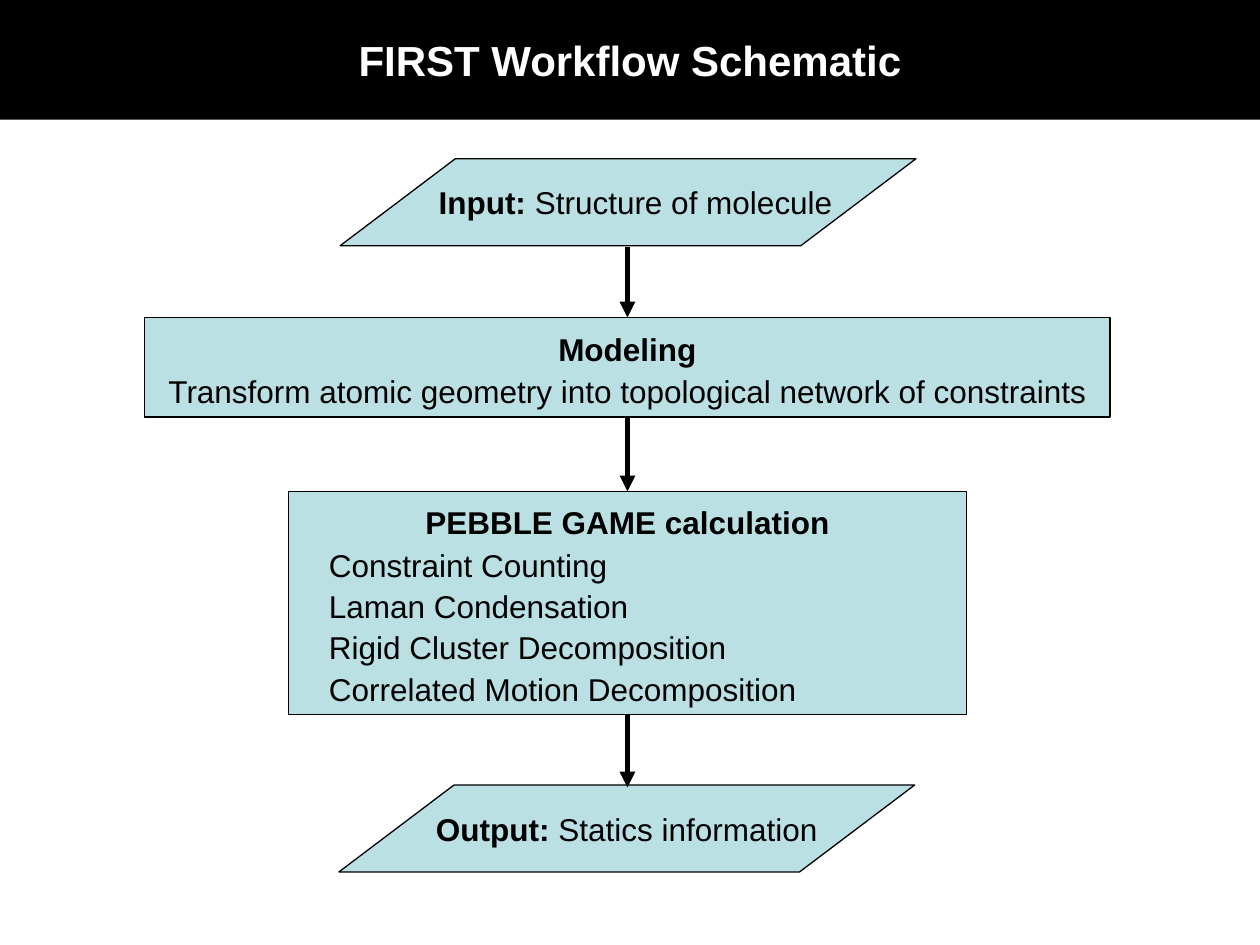
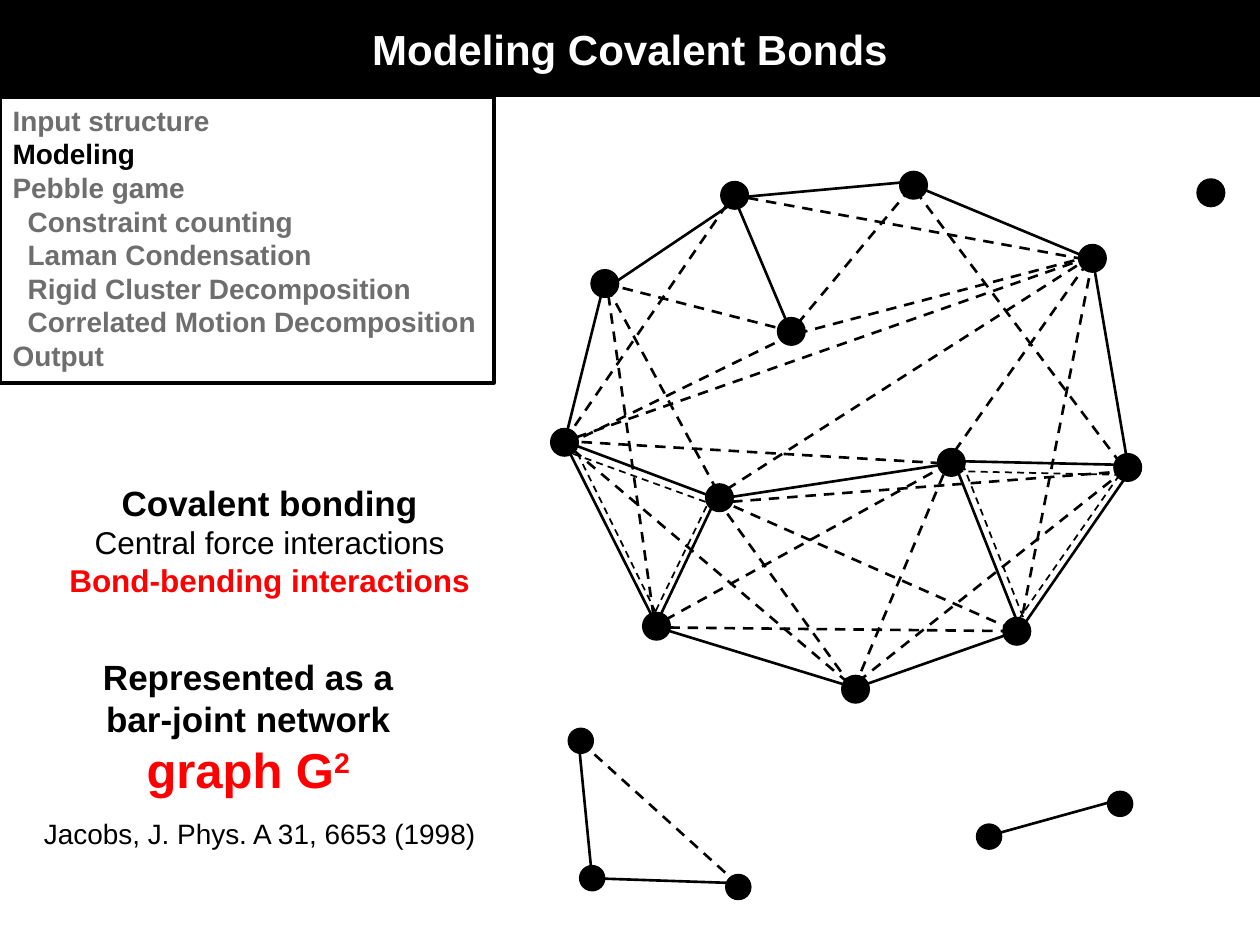
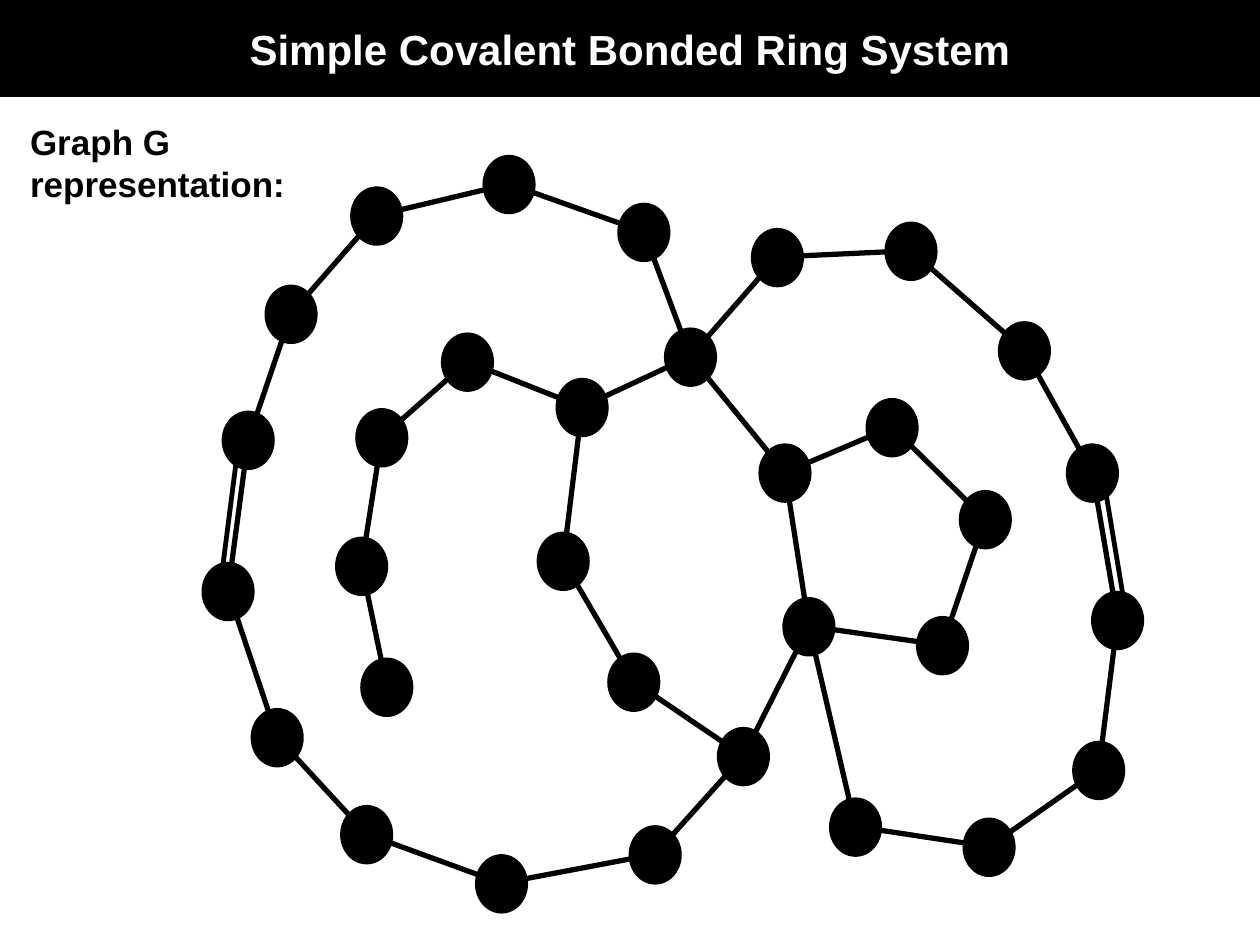
from dataclasses import dataclass
from typing import Optional

import pptx
import pptx.dml.color
import pptx.enum.dml
import pptx.enum.shapes
import pptx.enum.text
import pptx.oxml.ns
import pptx.oxml.xmlchemy
import pptx.shapes.autoshape
import pptx.slide
import pptx.text.text
import pptx.util
from lxml import etree

EMU_PER_PX = 9144  # 100 px to the inch
SLIDE_W, SLIDE_H = 1000, 750
FONT = "Arial"

RGBColor = pptx.dml.color.RGBColor
BLACK = RGBColor(0x00, 0x00, 0x00)
WHITE = RGBColor(0xFF, 0xFF, 0xFF)
PALE_TEAL = RGBColor(0xBB, 0xE0, 0xE3)
GREY = RGBColor(0x6E, 0x6E, 0x6E)
RED = RGBColor(0xFF, 0x00, 0x00)

Shapes = pptx.enum.shapes.MSO_SHAPE
Align = pptx.enum.text.PP_ALIGN
Anchor = pptx.enum.text.MSO_ANCHOR
Pt = pptx.util.Pt
qn = pptx.oxml.ns.qn

TITLE_AND_CONTENT, TITLE_ONLY = 1, 5
TOP, BOTTOM = 0, 2

Point = tuple[int, int]


@dataclass(frozen=True)
class Box:
    left: int
    top: int
    width: int
    height: int


@dataclass(frozen=True)
class Span:
    text: str
    size: float = 18
    bold: bool = False
    color: RGBColor = BLACK
    superscript: bool = False


@dataclass(frozen=True)
class Line:
    spans: tuple[Span, ...]
    align: Align = Align.CENTER
    before: float = 0
    indent: int = 0


@dataclass(frozen=True)
class Step:
    """A flowchart step; a step without wrapping centres its text."""
    kind: Shapes
    box: Box
    lines: tuple[Line, ...]
    wrap: bool = True
    inset: tuple[int, int, int] = (0, 0, 0)  # left, top, right


@dataclass(frozen=True)
class Bond:
    points: tuple[Point, ...]
    width: float = 1.5
    dashed: bool = False
    closed: bool = False


def px(length: int) -> int:
    return pptx.util.Emu(length * EMU_PER_PX)


def place(shape: pptx.shapes.autoshape.Shape, box: Box) -> None:
    shape.left, shape.top = px(box.left), px(box.top)
    shape.width, shape.height = px(box.width), px(box.height)


def write(frame: pptx.text.text.TextFrame, lines: tuple[Line, ...]) -> None:
    for number, line in enumerate(lines):
        paragraph = frame.add_paragraph() if number else frame.paragraphs[0]
        properties = paragraph._p.get_or_add_pPr()
        properties.set("marL", str(px(line.indent)))
        properties.set("indent", "0")
        etree.SubElement(properties, qn("a:buNone"))
        paragraph.alignment = line.align
        paragraph.space_before = Pt(line.before)
        for span in line.spans:
            run = paragraph.add_run()
            run.text = span.text
            run.font.name = FONT
            run.font.size = Pt(span.size)
            run.font.bold = span.bold
            run.font.color.rgb = span.color
            if span.superscript:
                run._r.get_or_add_rPr().set("baseline", "30000")


def new_slide(deck: pptx.presentation.Presentation, title: str,
              band_height: int = 77, layout: int = TITLE_ONLY) -> pptx.slide.Slide:
    slide = deck.slides.add_slide(deck.slide_layouts[layout])
    band = slide.shapes.title
    place(band, Box(0, 0, SLIDE_W, band_height))
    band.fill.solid()
    band.fill.fore_color.rgb = BLACK
    frame = band.text_frame
    frame.auto_size = pptx.enum.text.MSO_AUTO_SIZE.NONE
    frame.vertical_anchor = Anchor.MIDDLE
    write(frame, (Line((Span(title, 24, True, WHITE),)),))
    return slide


def add_text(slide: pptx.slide.Slide, box: Box, lines: tuple[Line, ...],
             wrap: bool = False) -> None:
    frame = slide.shapes.add_textbox(*map(px, (box.left, box.top, box.width, box.height))).text_frame
    frame.word_wrap = wrap
    write(frame, lines)


def add_solid(slide: pptx.slide.Slide, kind: Shapes, box: Box, fill: RGBColor,
              line_width: float = 0.75) -> pptx.shapes.autoshape.Shape:
    shape = slide.shapes.add_shape(kind, *map(px, (box.left, box.top, box.width, box.height)))
    shape.shadow.inherit = False
    shape.fill.solid()
    shape.fill.fore_color.rgb = fill
    shape.line.color.rgb = BLACK
    shape.line.width = Pt(line_width)
    return shape


def add_step(slide: pptx.slide.Slide, step: Step) -> pptx.shapes.autoshape.Shape:
    shape = add_solid(slide, step.kind, step.box, PALE_TEAL)
    frame = shape.text_frame
    frame.word_wrap = step.wrap
    frame.vertical_anchor = Anchor.TOP if step.wrap else Anchor.MIDDLE
    frame.margin_left, frame.margin_top, frame.margin_right = map(px, step.inset)
    frame.margin_bottom = 0
    write(frame, step.lines)
    return shape


def add_straight(slide: pptx.slide.Slide, start: Point, end: Point,
                 width: float) -> pptx.shapes.connector.Connector:
    connector = slide.shapes.add_connector(
        pptx.enum.shapes.MSO_CONNECTOR.STRAIGHT, *map(px, start + end))
    connector.line.color.rgb = BLACK
    connector.line.width = Pt(width)
    etree.SubElement(connector._element.spPr, qn("a:effectLst"))
    return connector


def add_arrow(slide: pptx.slide.Slide, start: Point, end: Point) -> pptx.shapes.connector.Connector:
    arrow = add_straight(slide, start, end, 3)
    etree.SubElement(arrow.line._get_or_add_ln(), qn("a:tailEnd"), type="triangle")
    return arrow


def add_bond(slide: pptx.slide.Slide, bond: Bond) -> None:
    if len(bond.points) == 2:
        drawn = add_straight(slide, *bond.points, bond.width)
    else:
        builder = slide.shapes.build_freeform(*bond.points[0], scale=EMU_PER_PX)
        builder.add_line_segments(bond.points[1:], close=bond.closed)
        drawn = builder.convert_to_shape()
        drawn.shadow.inherit = False
        drawn.fill.background()
        drawn.line.color.rgb = BLACK
        drawn.line.width = Pt(bond.width)
    if bond.dashed:
        drawn.line.dash_style = pptx.enum.dml.MSO_LINE.DASH


def add_atom(slide: pptx.slide.Slide, center: Point, width: int, height: int,
             line_width: float = 0.75) -> None:
    x, y = center
    add_solid(slide, Shapes.OVAL, Box(x - width // 2, y - height // 2, width, height),
              BLACK, line_width)


# Workflow
INPUT = Step(
    Shapes.FLOWCHART_DATA, Box(270, 126, 457, 69),
    (Line((Span("Input:", bold=True), Span(" Structure of molecule"))),),
    wrap=False, inset=(12, 0, 0))
MODELING = Step(
    Shapes.FLOWCHART_PROCESS, Box(115, 252, 766, 79),
    (Line((Span("Modeling", bold=True),)),
     Line((Span("Transform atomic geometry into topological network of constraints"),), before=2.5)),
    inset=(0, 10, 0))
PEBBLE_GAME = Step(
    Shapes.FLOWCHART_PROCESS, Box(229, 390, 538, 177),
    (Line((Span("PEBBLE GAME calculation", bold=True),)),)
    + tuple(Line((Span(task),), Align.LEFT, before)
            for task, before in (("Constraint Counting", 3),
                                 ("Laman Condensation", 2),
                                 ("Rigid Cluster Decomposition", 2),
                                 ("Correlated Motion Decomposition", 2))),
    inset=(32, 9, 32))
OUTPUT = Step(
    Shapes.FLOWCHART_DATA, Box(269, 623, 457, 69),
    (Line((Span("Output:", bold=True), Span(" Statics information"))),),
    wrap=False)
ARROW_X = 498

# Covalent bonds: outline of the workflow as (text, indent)
CURRENT_STAGE = "Modeling"
STAGES = (("Input structure", 0), (CURRENT_STAGE, 0), ("Pebble game", 0),
          ("Constraint counting", 12), ("Laman Condensation", 12),
          ("Rigid Cluster Decomposition", 12), ("Correlated Motion Decomposition", 12),
          ("Output", 0))

SMALL_MOLECULE_ATOMS = ((470, 697), (461, 588), (586, 704), (785, 664), (889, 638))
NETWORK_ATOMS = ((480, 225), (583, 155), (725, 147), (867, 205), (448, 351), (521, 497),
                 (571, 395), (679, 547), (807, 501), (895, 371), (755, 367), (628, 263),
                 (961, 153))
CENTRAL_FORCES = (
    ((459, 586), (470, 698)),
    ((468, 697), (587, 701)),
    ((887, 635), (786, 663)),
    ((583, 157), (725, 144)),
    ((725, 147), (869, 207)),
    ((867, 204), (896, 374)),
    ((896, 375), (809, 501)),
    ((585, 159), (478, 231), (448, 351), (522, 498), (679, 546), (810, 500), (757, 366), (894, 369)),
    ((582, 155), (628, 264)),
    ((754, 368), (570, 396), (450, 351)),
    ((568, 396), (520, 497)),
)
BOND_BENDING = (
    ((461, 589), (586, 702)),
    ((480, 225), (628, 263), (724, 148), (894, 374), (571, 399), (676, 545), (894, 372)),
    ((448, 350), (582, 155), (867, 207), (809, 501), (520, 498), (482, 228), (571, 393)),
    ((447, 350), (753, 368), (519, 497)),
    ((569, 396), (807, 501)),
    ((867, 203), (568, 394)),
    ((865, 204), (449, 350)),
)
BOND_BENDING_LOOP = ((628, 266), (450, 353), (678, 546), (755, 362), (867, 203))
BENDING_BESIDE_BONDS = (
    ((565, 393), (517, 492)),
    ((446, 357), (570, 402)),
    ((454, 351), (523, 491)),
    ((759, 374), (894, 377)),
    ((764, 368), (816, 500)),
    ((894, 369), (804, 498)),
)

# Ring system: each chain runs from atom to atom
RIGHT_RINGS = ((887, 492), (867, 375), (813, 278), (723, 199), (617, 204), (548, 283),
               (462, 323), (447, 445), (503, 541), (590, 600), (642, 497), (623, 375),
               (708, 339), (782, 412), (748, 512), (642, 497), (679, 656), (785, 672),
               (872, 611))
LEFT_RING = ((548, 283), (511, 184), (404, 146), (299, 171), (231, 249), (197, 349),
             (181, 469), (220, 585), (291, 662), (398, 701), (520, 678), (590, 600))
SIDE_CHAIN = ((462, 323), (371, 287), (303, 347), (287, 449), (307, 545))
SECOND_BONDS = (((876, 381), (893, 483)), ((188, 362), (176, 456)))


def build_workflow(deck: pptx.presentation.Presentation) -> None:
    slide = new_slide(deck, "FIRST Workflow Schematic", band_height=95)
    _, modeling, pebble_game, _ = [
        add_step(slide, step) for step in (INPUT, MODELING, PEBBLE_GAME, OUTPUT)]
    into_modeling = add_arrow(slide, (ARROW_X, 196), (ARROW_X, 252))
    into_modeling.end_connect(modeling, TOP)
    into_game = add_arrow(slide, (ARROW_X, 331), (ARROW_X, 390))
    into_game.begin_connect(modeling, BOTTOM)
    into_game.end_connect(pebble_game, TOP)
    into_output = add_arrow(slide, (ARROW_X, 567), (ARROW_X, 625))
    into_output.begin_connect(pebble_game, BOTTOM)


def build_outline(slide: pptx.slide.Slide) -> None:
    outline = slide.placeholders[1]
    place(outline, Box(0, 77, 392, 227))
    outline.line.color.rgb = BLACK
    outline.line.width = Pt(2)
    frame = outline.text_frame
    frame.auto_size = pptx.enum.text.MSO_AUTO_SIZE.NONE
    frame.vertical_anchor = Anchor.TOP
    frame.margin_right = 0
    write(frame, tuple(
        Line((Span(stage, 16, True, BLACK if stage == CURRENT_STAGE else GREY),),
             Align.LEFT, indent=indent)
        for stage, indent in STAGES))


def build_covalent_bonds(deck: pptx.presentation.Presentation) -> None:
    slide = new_slide(deck, "Modeling Covalent Bonds", layout=TITLE_AND_CONTENT)
    build_outline(slide)
    for diameter, atoms in ((20, SMALL_MOLECULE_ATOMS), (22, NETWORK_ATOMS)):
        for atom in atoms:
            add_atom(slide, atom, diameter, diameter)
    bonds = [Bond(points) for points in CENTRAL_FORCES]
    bonds += [Bond(points, dashed=True) for points in BOND_BENDING]
    bonds += [Bond(BOND_BENDING_LOOP, dashed=True, closed=True)]
    bonds += [Bond(points, 1, dashed=True) for points in BENDING_BESIDE_BONDS]
    for bond in bonds:
        add_bond(slide, bond)
    add_text(slide, Box(45, 377, 338, 103), (
        Line((Span("Covalent bonding", 20, True),)),
        Line((Span("Central force interactions"),)),
        Line((Span("Bond-bending interactions", bold=True, color=RED),))))
    add_text(slide, Box(68, 515, 258, 123), (
        Line((Span("Represented as a", 20, True),)),
        Line((Span("bar-joint network", 20, True),)),
        Line((Span("graph G", 28, True, RED), Span("2", 28, True, RED, superscript=True)))))
    add_text(slide, Box(25, 643, 366, 37),
             (Line((Span("Jacobs, J. Phys. A 31, 6653 (1998)", 16),), Align.LEFT),))


def build_ring_system(deck: pptx.presentation.Presentation) -> None:
    slide = new_slide(deck, "Simple Covalent Bonded Ring System")
    add_text(slide, Box(14, 91, 230, 77),
             (Line((Span("Graph G representation:", 20, True),), Align.LEFT),), wrap=True)
    for atom in dict.fromkeys(RIGHT_RINGS + LEFT_RING + SIDE_CHAIN):
        add_atom(slide, atom, 38, 43, line_width=3)
    add_bond(slide, Bond(RIGHT_RINGS, 3, closed=True))
    add_bond(slide, Bond((RIGHT_RINGS[11],) + LEFT_RING, 3))
    add_bond(slide, Bond(SIDE_CHAIN, 3))
    for points in SECOND_BONDS:
        add_bond(slide, Bond(points, 2.75))


def main() -> None:
    deck = pptx.Presentation()
    deck.slide_width, deck.slide_height = px(SLIDE_W), px(SLIDE_H)
    build_workflow(deck)
    build_covalent_bonds(deck)
    build_ring_system(deck)
    deck.save("out.pptx")


if __name__ == "__main__":
    main()
